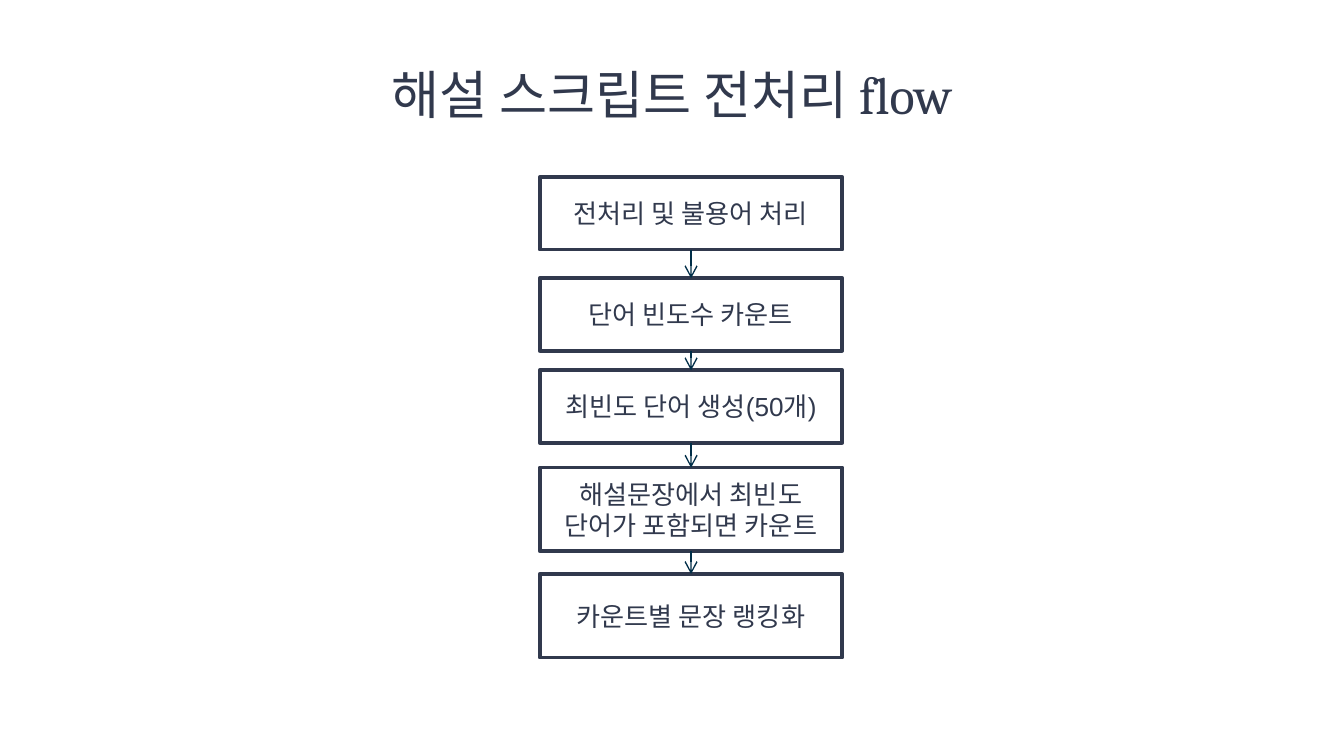
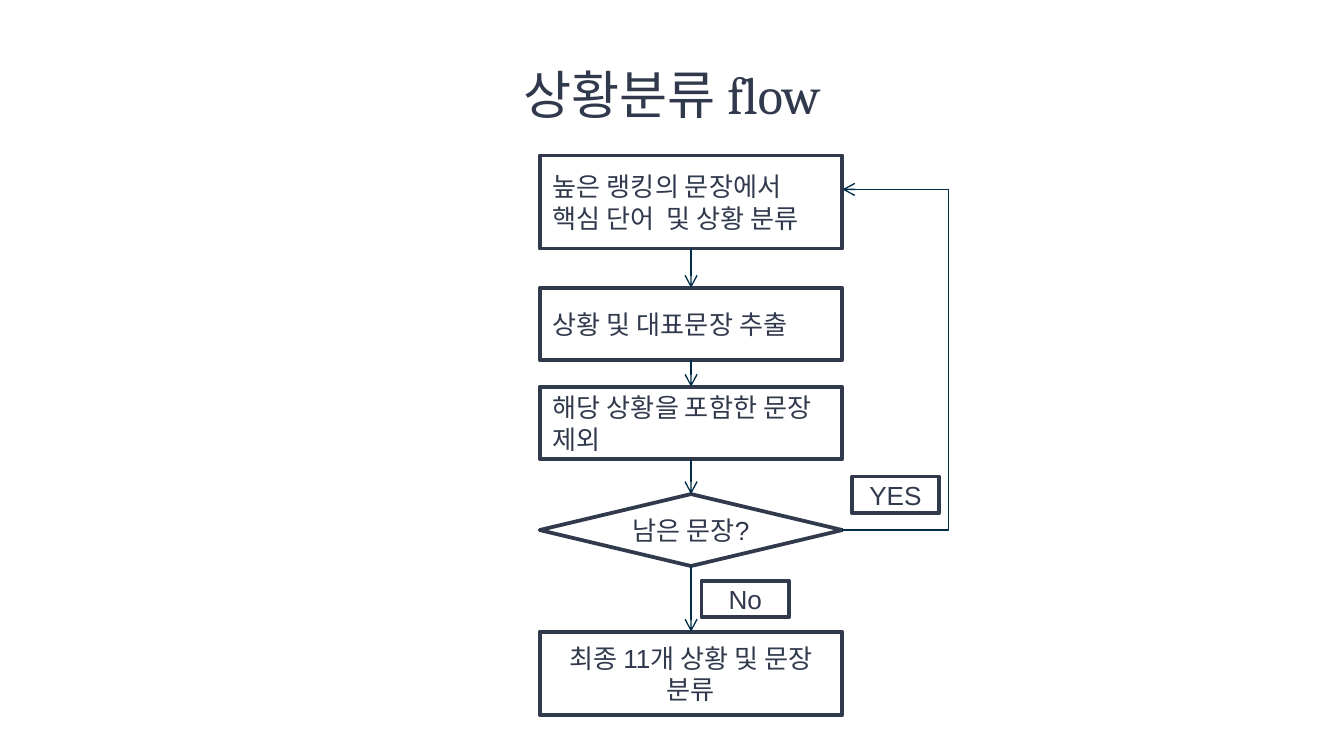
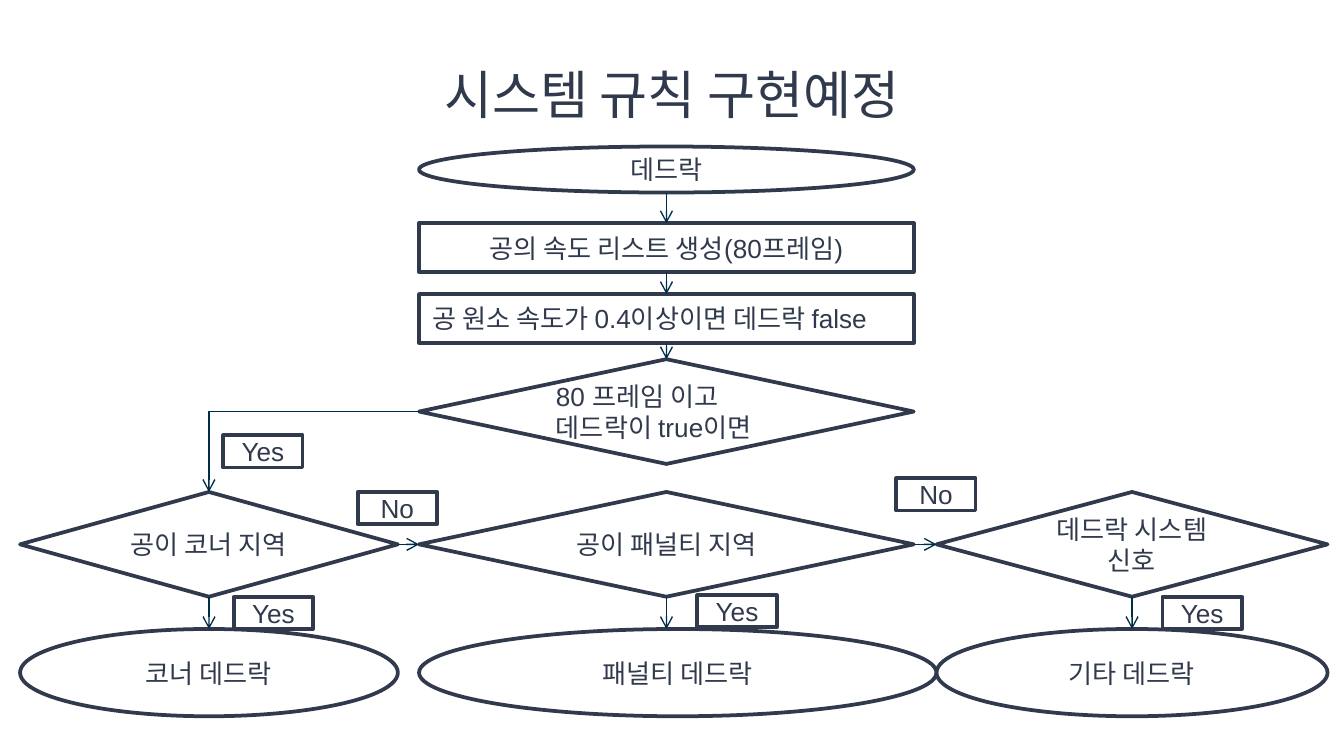
from lxml import etree
from pptx import Presentation
from pptx.dml.color import RGBColor
from pptx.enum.shapes import MSO_CONNECTOR, MSO_SHAPE
from pptx.enum.text import MSO_ANCHOR, PP_ALIGN
from pptx.oxml.ns import qn
from pptx.util import Cm, Pt

RECT, RHOMB, OVAL = MSO_SHAPE.RECTANGLE, MSO_SHAPE.DIAMOND, MSO_SHAPE.OVAL
LINE, ELBOW = MSO_CONNECTOR.STRAIGHT, MSO_CONNECTOR.ELBOW
LEFT, MID = PP_ALIGN.LEFT, PP_ALIGN.CENTER
INK, EDGE, WHITE = "31394D", "002E48", "FFFFFF"

# Content: a step is (shape, text, alignment, top, height), in cm
PREP = [
    (RECT, "전처리 및 불용어 처리", MID, 3.35, 1.37),
    (RECT, "단어 빈도수 카운트", MID, 5.26, 1.37),
    (RECT, "최빈도 단어 생성(50개)", MID, 7.0, 1.37),
    (RECT, "해설문장에서 최빈도 단어가 포함되면 카운트", MID, 8.84, 1.58),
    (RECT, "카운트별 문장 랭킹화", MID, 10.85, 1.58),
]
SORT = [
    (RECT, "높은 랭킹의 문장에서\n핵심 단어  및 상황 분류", LEFT, 2.94, 1.76),
    (RECT, "상황 및 대표문장 추출", LEFT, 5.44, 1.37),
    (RECT, "해당 상황을 포함한 문장 제외", LEFT, 7.31, 1.37),
    (RHOMB, "남은 문장?", MID, 9.34, 1.36),
    (RECT, "최종 11개 상황 및 문장 분류", MID, 11.94, 1.58),
]
RULES = [
    (OVAL, "데드락", MID, 2.77, 0.87),
    (RECT, "공의 속도 리스트 생성(80프레임)", MID, 4.22, 0.92),
    (RECT, "공 원소 속도가 0.4이상이면 데드락 false", LEFT, 5.56, 0.92),
    (RHOMB, "80 프레임 이고 데드락이 true이면", LEFT, 6.79, 1.98),
]
# A case is (question, result, left, question width, result width)
CASES = [
    ("공이 코너 지역", "코너 데드락", 0.38, 7.14, 7.14),
    ("공이 패널티 지역", "패널티 데드락", 7.92, 9.35, 9.78),
    ("데드락 시스템 신호", "기타 데드락", 17.7, 7.39, 7.39),
]
# A tag is (text, left, top)
SORT_TAGS = [("YES", 16.1, 9.01), ("No", 13.26, 10.98)]
RULE_TAGS = [
    ("Yes", 4.42, 11.28), ("Yes", 13.18, 11.25), ("Yes", 21.97, 11.28),
    ("Yes", 4.22, 8.23), ("No", 6.76, 9.3), ("No", 16.94, 9.04),
]
FLOW_X, FLOW_W = 10.2, 5.72
LOOP_X, LOOP_Y = 17.93, 3.58
ASK_Y, ASK_H, END_Y, END_H = 9.3, 1.98, 11.89, 1.65


def color(code):
    return RGBColor.from_string(code)


def write(shape, text, align, face, size):
    frame = shape.text_frame
    frame.word_wrap = True
    frame.vertical_anchor = MSO_ANCHOR.MIDDLE
    frame.text = text
    for para in frame.paragraphs:
        para.alignment = align
        para.font.name, para.font.size = face, Pt(size)
        para.font.color.rgb = color(INK)


def page(title):
    slide = deck.slides.add_slide(deck.slide_layouts[6])
    box = slide.shapes.add_textbox(Cm(1.27), Cm(0.58), Cm(22.86), Cm(2.39))
    write(box, title, MID, "Cambria", 28)
    return slide


def node(slide, kind, text, align, x, y, w, h):
    """Draw one outlined shape and return its centre and edges in cm."""
    shape = slide.shapes.add_shape(kind, Cm(x), Cm(y), Cm(w), Cm(h))
    shape.shadow.inherit = False
    shape.fill.solid()
    shape.fill.fore_color.rgb = color(WHITE)
    shape.line.color.rgb = color(INK)
    shape.line.width = Pt(2)
    write(shape, text, align, "Arial", 14)
    return {"top": (x + w / 2, y), "low": (x + w / 2, y + h),
            "left": (x, y + h / 2), "right": (x + w, y + h / 2)}


def link(slide, start, end, bent=False, head=True):
    """Join two points; a bent link runs sideways first, then up or down."""
    ends = [Cm(v) for v in (*start, *end)]
    wire = slide.shapes.add_connector(ELBOW if bent else LINE, *ends)
    wire.line.color.rgb = color(EDGE)
    wire.line.width = Pt(0.75)
    props = wire.element.spPr
    if bent:
        props.find(qn("a:prstGeom")).set("prst", "bentConnector2")
    if head:
        etree.SubElement(props.find(qn("a:ln")), qn("a:tailEnd"), type="arrow")
    etree.SubElement(props, qn("a:effectLst"))


def chain(slide, steps, x, w):
    """Stack steps in one column, with an arrow from each to the next."""
    nodes = [node(slide, kind, text, align, x, y, w, h)
             for kind, text, align, y, h in steps]
    for prev, nxt in zip(nodes, nodes[1:]):
        link(slide, prev["low"], nxt["top"])
    return nodes


def label(slide, tags, w, h):
    for text, x, y in tags:
        node(slide, RECT, text, MID, x, y, w, h)


deck = Presentation()
deck.slide_width, deck.slide_height = Cm(25.4), Cm(14.29)

# Script preparation
chain(page("해설 스크립트 전처리 flow"), PREP, FLOW_X, FLOW_W)

# Situation sorting, with a loop back to the first step
slide = page("상황분류 flow")
nodes = chain(slide, SORT, FLOW_X, FLOW_W)
turn = (LOOP_X, LOOP_Y)
link(slide, nodes[3]["right"], turn, bent=True, head=False)
link(slide, turn, (nodes[0]["right"][0], LOOP_Y))
label(slide, SORT_TAGS, 1.65, 0.69)

# System rules: one column on top, three cases below
slide = page("시스템 규칙 구현예정")
_, _, mid_x, mid_w, _ = CASES[1]
check = chain(slide, RULES, mid_x, mid_w)[-1]
asks = []
for ask, result, x, w, end_w in CASES:
    case = node(slide, RHOMB, ask, MID, x, ASK_Y, w, ASK_H)
    node(slide, OVAL, result, MID, x, END_Y, end_w, END_H)
    link(slide, case["low"], (case["low"][0], END_Y))
    asks.append(case)
link(slide, check["left"], asks[0]["top"], bent=True)
for prev, nxt in zip(asks, asks[1:]):
    link(slide, prev["right"], nxt["left"])
label(slide, RULE_TAGS, 1.5, 0.61)

deck.save("out.pptx")
